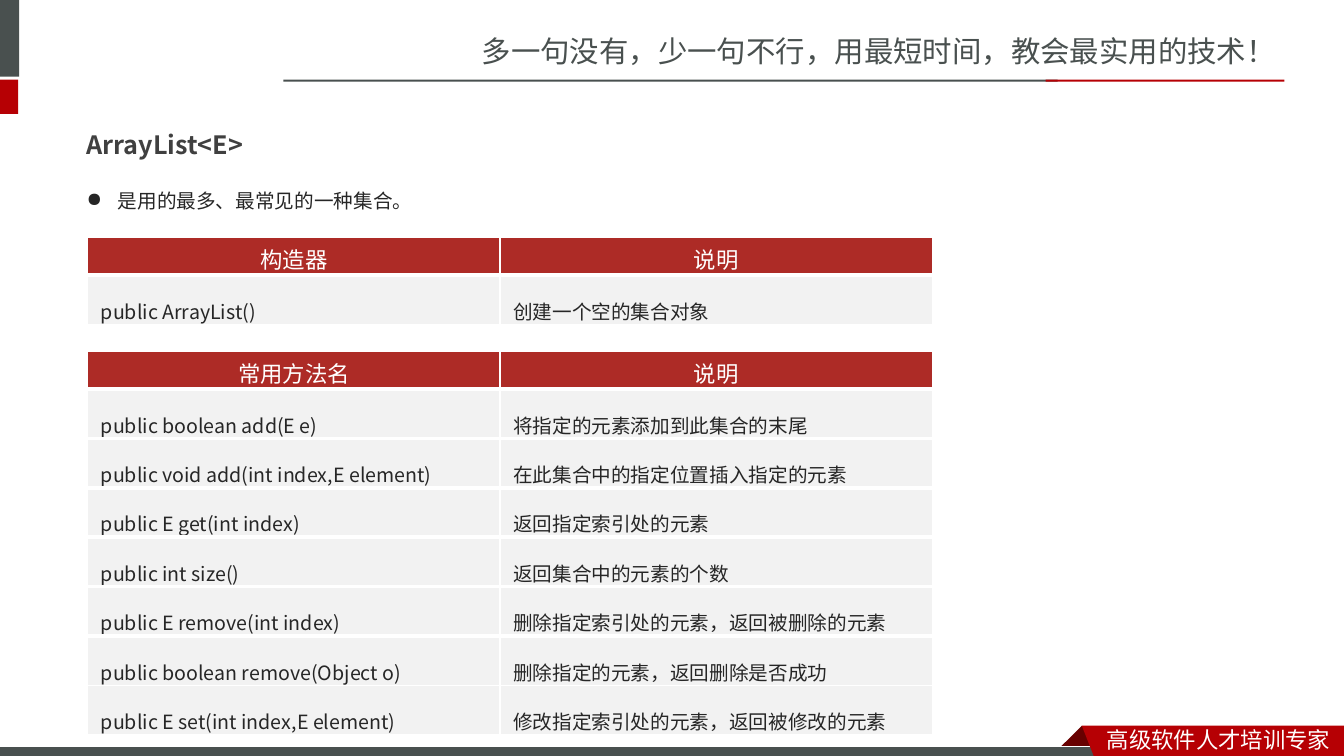
from dataclasses import dataclass

from lxml import etree
from pptx import Presentation
from pptx.dml.color import RGBColor
from pptx.enum.shapes import MSO_SHAPE
from pptx.enum.text import MSO_ANCHOR, PP_ALIGN
from pptx.oxml.ns import qn
from pptx.util import Inches, Pt

RECT = MSO_SHAPE.RECTANGLE
MIDDLE = MSO_ANCHOR.MIDDLE
LEFT, CENTER = PP_ALIGN.LEFT, PP_ALIGN.CENTER


@dataclass(frozen=True)
class Theme:
    white: str = "FFFFFF"
    grey: str = "49504F"
    red: str = "B60004"
    dark_red: str = "680000"
    header: str = "AD2B26"
    row: str = "F2F2F2"
    heading: str = "404040"
    body: str = "262626"
    font: str = "Noto Sans CJK SC"
    cell_font: str = "Noto Sans CJK JP"
    header_font: str = "Calibri"
    slogan_size: int = 21
    heading_size: int = 18
    label_size: int = 16
    body_size: int = 14


THEME = Theme()
COLUMNS = (4.09, 4.29)
HEADER_HEIGHT, ROW_HEIGHT = 0.37, 0.483
THIN, THICK = 1, 3

CONSTRUCTORS = [
    ("构造器", "说明"),
    ("public ArrayList()", "创建一个空的集合对象"),
]
METHODS = [
    ("常用方法名", "说明"),
    ("public boolean add(E e)", "将指定的元素添加到此集合的末尾"),
    ("public void add(int index,E element)", "在此集合中的指定位置插入指定的元素"),
    ("public E get(int index)", "返回指定索引处的元素"),
    ("public int size()", "返回集合中的元素的个数"),
    ("public E remove(int index)", "删除指定索引处的元素，返回被删除的元素"),
    ("public boolean remove(Object o)", "删除指定的元素，返回删除是否成功"),
    ("public E set(int index,E element)", "修改指定索引处的元素，返回被修改的元素"),
]


def rgb(color):
    return RGBColor.from_string(color)


def paint(sp, fill, line=None):
    sp.shadow.inherit = False
    sp.fill.solid()
    sp.fill.fore_color.rgb = rgb(fill)
    if line:
        sp.line.color.rgb = rgb(line)
        sp.line.width = Pt(0.75)
    else:
        sp.line.fill.background()


def add_bar(slide, left, top, width, height, fill, line=None):
    box = map(Inches, (left, top, width, height))
    paint(slide.shapes.add_shape(RECT, *box), fill, line)


def add_outline(slide, points, fill):
    start, *rest = [(Inches(x), Inches(y)) for x, y in points]
    builder = slide.shapes.build_freeform(*start)
    builder.add_line_segments(rest, close=True)
    paint(builder.convert_to_shape(), fill)


def write(tf, text, size, color, font, bold=False, spacing=1.0, align=LEFT):
    p = tf.paragraphs[0]
    p.text = text
    p.alignment = align
    p.line_spacing = spacing
    p.font.size = Pt(size)
    p.font.name = font
    p.font.bold = bold
    p.font.color.rgb = rgb(color)
    return p


def add_text(slide, left, top, width, height, text, size, color, **style):
    box = map(Inches, (left, top, width, height))
    tf = slide.shapes.add_textbox(*box).text_frame
    tf.word_wrap = True
    return write(tf, text, size, color, THEME.font, **style)


def add_bullet(p, char, indent):
    pPr = p._p.get_or_add_pPr()
    pPr.set("marL", str(Inches(indent)))
    pPr.set("indent", str(-Inches(indent)))
    bullet = etree.Element(qn("a:buChar"), char=char)
    pPr.find(qn("a:defRPr")).addprevious(bullet)


def set_borders(cell, top, bottom):
    """Draw white borders, one point wide at the sides."""
    tcPr = cell._tc.get_or_add_tcPr()
    widths = {"L": THIN, "R": THIN, "T": top, "B": bottom}
    for i, (side, width) in enumerate(widths.items()):
        ln = etree.Element(qn(f"a:ln{side}"), w=str(Pt(width)))
        fill = etree.SubElement(ln, qn("a:solidFill"))
        etree.SubElement(fill, qn("a:srgbClr"), val=THEME.white)
        tcPr.insert(i, ln)


def fill_cell(cell, text, is_header):
    side, edge = (0.1, 0.05) if is_header else (0.13, 0.07)
    cell.margin_left = cell.margin_right = Inches(side)
    cell.margin_top = cell.margin_bottom = Inches(edge)
    cell.vertical_anchor = MIDDLE
    cell.fill.solid()
    cell.fill.fore_color.rgb = rgb(THEME.header if is_header else THEME.row)
    if is_header:
        write(cell.text_frame, text, THEME.label_size, THEME.white,
              THEME.header_font, align=CENTER)
    else:
        write(cell.text_frame, text, THEME.body_size, THEME.body,
              THEME.cell_font, spacing=1.5)


def add_api_table(slide, left, top, rows):
    """Add a two-column table; the last two rows are parted by a thin line."""
    heights = [HEADER_HEIGHT] + [ROW_HEIGHT] * (len(rows) - 1)
    table = slide.shapes.add_table(
        len(rows), len(COLUMNS), Inches(left), Inches(top),
        Inches(sum(COLUMNS)), Inches(sum(heights))).table
    for column, width in zip(table.columns, COLUMNS):
        column.width = Inches(width)
    thin_from = max(len(rows) - 2, 1)
    above = THIN
    for i, (texts, height) in enumerate(zip(rows, heights)):
        table.rows[i].height = Inches(height)
        below = THIN if i >= thin_from else THICK
        for cell, text in zip(table.rows[i].cells, texts):
            fill_cell(cell, text, is_header=i == 0)
            set_borders(cell, above, below)
        above = below


def add_frame(slide):
    """Add the slogan, rules and footer ribbon around the content."""
    add_text(slide, 4.68, 0.28, 8.66, 0.45,
             "多一句没有，少一句不行，用最短时间，教会最实用的技术！",
             THEME.slogan_size, THEME.grey)
    add_bar(slide, -0.06, 0, 0.25, 0.76, THEME.grey)
    add_bar(slide, -0.06, 0.79, 0.24, 0.34, THEME.red)
    add_bar(slide, 2.81, 0.79, 7.68, 0.02, THEME.grey)
    add_bar(slide, 10.37, 0.79, 2.37, 0.02, THEME.red)
    add_outline(slide, [(10.73, 7.2), (10.95, 7.42), (10.94, 7.43),
                        (10.52, 7.43), (10.51, 7.42)], THEME.dark_red)
    add_bar(slide, -0.01, 7.41, 11, 0.12, THEME.grey, THEME.white)
    add_outline(slide, [(10.73, 7.2), (13.33, 7.2), (13.33, 7.54),
                        (10.86, 7.53)], THEME.red)
    add_text(slide, 10.88, 7.15, 2.45, 0.37, "高级软件人才培训专家",
             THEME.label_size, THEME.white)


def main():
    prs = Presentation()
    prs.slide_width, prs.slide_height = Inches(13.33), Inches(7.5)
    slide = prs.slides.add_slide(prs.slide_layouts[6])
    add_frame(slide)
    add_text(slide, 0.76, 1.08, 5.12, 0.5, "ArrayList<E>",
             THEME.heading_size, THEME.heading, bold=True, spacing=1.5)
    p = add_text(slide, 0.76, 1.71, 11.32, 0.41, "是用的最多、最常见的一种集合。",
                 THEME.body_size, THEME.body, spacing=1.5)
    add_bullet(p, "●", 0.31)
    add_api_table(slide, 0.87, 2.36, CONSTRUCTORS)
    add_api_table(slide, 0.87, 3.49, METHODS)
    prs.save("out.pptx")


if __name__ == "__main__":
    main()
